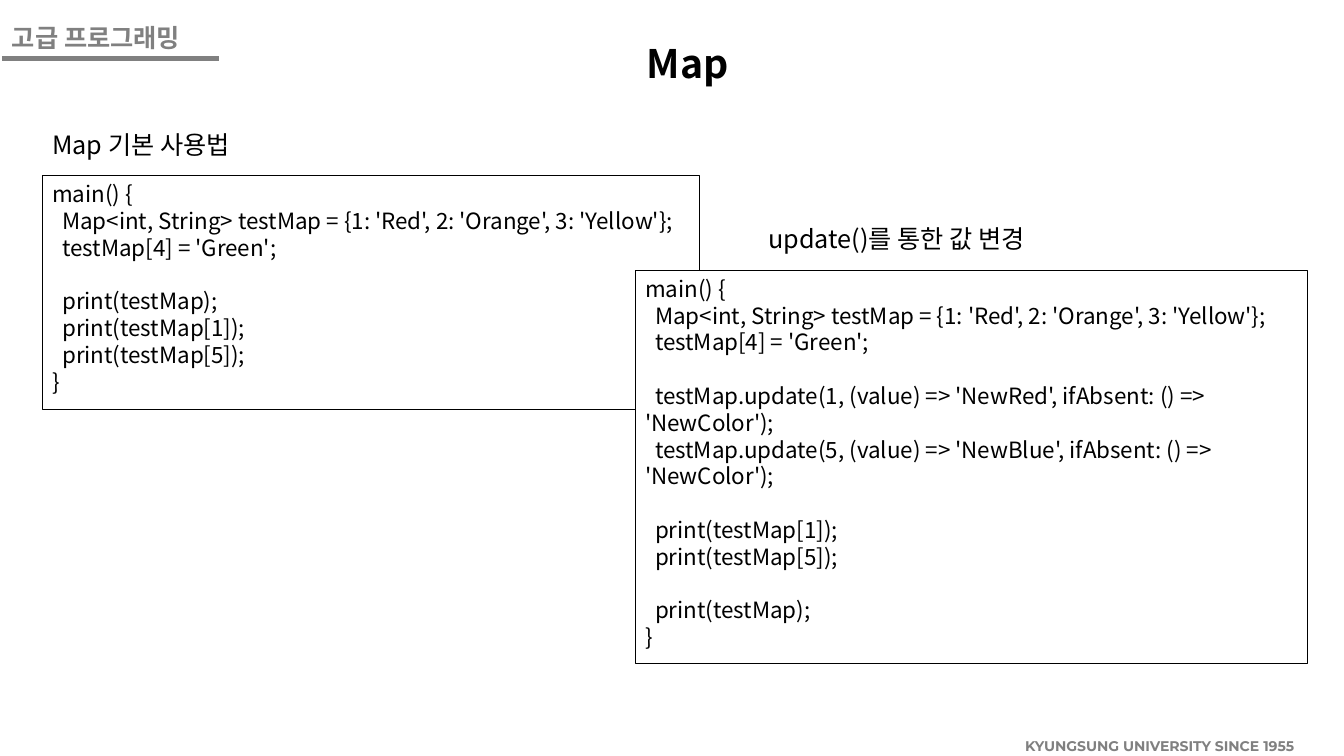
"""Build the Map lecture slide with two Dart code samples."""
from dataclasses import dataclass

from pptx import Presentation
from pptx import util as u
from pptx.dml.color import RGBColor
from pptx.enum import shapes, text
from pptx.oxml.ns import qn

KOREAN = "Noto Sans CJK KR"
LATIN = "Montserrat"
BLACK = RGBColor(0, 0, 0)
GRAY = RGBColor(0x80, 0x80, 0x80)
WHITE = RGBColor(255, 255, 255)
CODE_PITCH = u.Pt(19.15)


@dataclass
class Label:
    words: str
    left: float
    top: float
    width: float
    height: float
    size: float = 18
    color: RGBColor = BLACK
    bold: bool = False
    font: str = KOREAN
    wrap: bool = False


@dataclass
class CodeBox:
    code: str
    left: float
    top: float
    width: float
    height: float
    filled: bool


SETUP = """main() {
  Map<int, String> testMap = {1: 'Red', 2: 'Orange', 3: 'Yellow'};
  testMap[4] = 'Green';

"""
BASIC_CODE = SETUP + """  print(testMap);
  print(testMap[1]);
  print(testMap[5]);
}"""
UPDATE_CODE = SETUP + """  testMap.update(1, (value) => 'NewRed', ifAbsent: () => 'NewColor');
  testMap.update(5, (value) => 'NewBlue', ifAbsent: () => 'NewColor');

  print(testMap[1]);
  print(testMap[5]);

  print(testMap);
}"""

LABELS = [
    Label("KYUNGSUNG UNIVERSITY SINCE 1955", 10.07, 7.27, 3.19, 0.28,
          size=10, color=GRAY, bold=True, font=LATIN, wrap=True),
    Label("고급 프로그래밍", 0.02, 0.17, 2.06, 0.4, color=GRAY, bold=True),
    Label("Map 기본 사용법", 0.42, 1.23, 2.16, 0.4),
    Label("update()를 통한 값 변경", 7.52, 2.17, 2.94, 0.4),
]
CODE_BOXES = [
    CodeBox(BASIC_CODE, 0.42, 1.74, 6.52, 2.32, filled=False),
    CodeBox(UPDATE_CODE, 6.3, 2.68, 6.67, 3.9, filled=True),
]


def write(p, words: str, *, size: float, color: RGBColor = BLACK,
          bold: bool = False, font: str = KOREAN,
          align=text.PP_ALIGN.LEFT) -> None:
    p.alignment = align
    r = p.add_run()
    r.text = words
    r.font.size = u.Pt(size)
    r.font.bold = bold
    r.font.name = font
    r.font.color.rgb = color
    ea = r._r.get_or_add_rPr().makeelement(qn("a:ea"), {"typeface": font})
    r.font._element.find(qn("a:latin")).addnext(ea)


def place(sp, left: float, top: float, width: float, height: float) -> None:
    sp.left, sp.top = u.Inches(left), u.Inches(top)
    sp.width, sp.height = u.Inches(width), u.Inches(height)


def add_title(s, words: str) -> None:
    sp = s.shapes.title
    place(sp, 6.3, 0.34, 1.04, 0.57)
    tf = sp.text_frame
    tf.word_wrap = False
    tf.auto_size = text.MSO_AUTO_SIZE.NONE
    tf.vertical_anchor = text.MSO_ANCHOR.TOP
    write(tf.paragraphs[0], words, size=28, bold=True,
          align=text.PP_ALIGN.CENTER)


def add_label(s, label: Label) -> None:
    sp = s.shapes.add_textbox(0, 0, 0, 0)
    place(sp, label.left, label.top, label.width, label.height)
    tf = sp.text_frame
    tf.word_wrap = label.wrap
    write(tf.paragraphs[0], label.words, size=label.size, color=label.color,
          bold=label.bold, font=label.font)


def add_code(s, box: CodeBox) -> None:
    sp = s.shapes.add_shape(shapes.MSO_SHAPE.RECTANGLE, 0, 0, 0, 0)
    place(sp, box.left, box.top, box.width, box.height)
    sp.shadow.inherit = False
    if box.filled:
        sp.fill.solid()
        sp.fill.fore_color.rgb = WHITE
    else:
        sp.fill.background()
    sp.line.color.rgb = BLACK
    sp.line.width = u.Pt(0.75)
    tf = sp.text_frame
    tf.word_wrap = True
    tf.vertical_anchor = text.MSO_ANCHOR.TOP
    p, after_gap = tf.paragraphs[0], False
    for i, line in enumerate(box.code.split("\n")):
        if not line:
            after_gap = True
            continue
        if i:
            p = tf.add_paragraph()
        p.line_spacing = CODE_PITCH
        if after_gap:
            p.space_before = CODE_PITCH
        after_gap = False
        write(p, line, size=16)


def add_header_rule(s) -> None:
    rule = s.shapes.add_connector(
        shapes.MSO_CONNECTOR.STRAIGHT, u.Inches(0.02), u.Inches(0.58),
        u.Inches(2.17), u.Inches(0.58))
    rule.line.color.rgb = GRAY
    rule.line.width = u.Pt(3.75)
    sp_pr = rule._element.spPr
    sp_pr.append(sp_pr.makeelement(qn("a:effectLst"), {}))


def main() -> None:
    prs = Presentation()
    prs.slide_width, prs.slide_height = u.Inches(13.33), u.Inches(7.5)
    s = prs.slides.add_slide(prs.slide_layouts[5])
    add_title(s, "Map")
    add_header_rule(s)
    for box in CODE_BOXES:
        add_code(s, box)
    for label in LABELS:
        add_label(s, label)
    prs.save("out.pptx")


if __name__ == "__main__":
    main()
